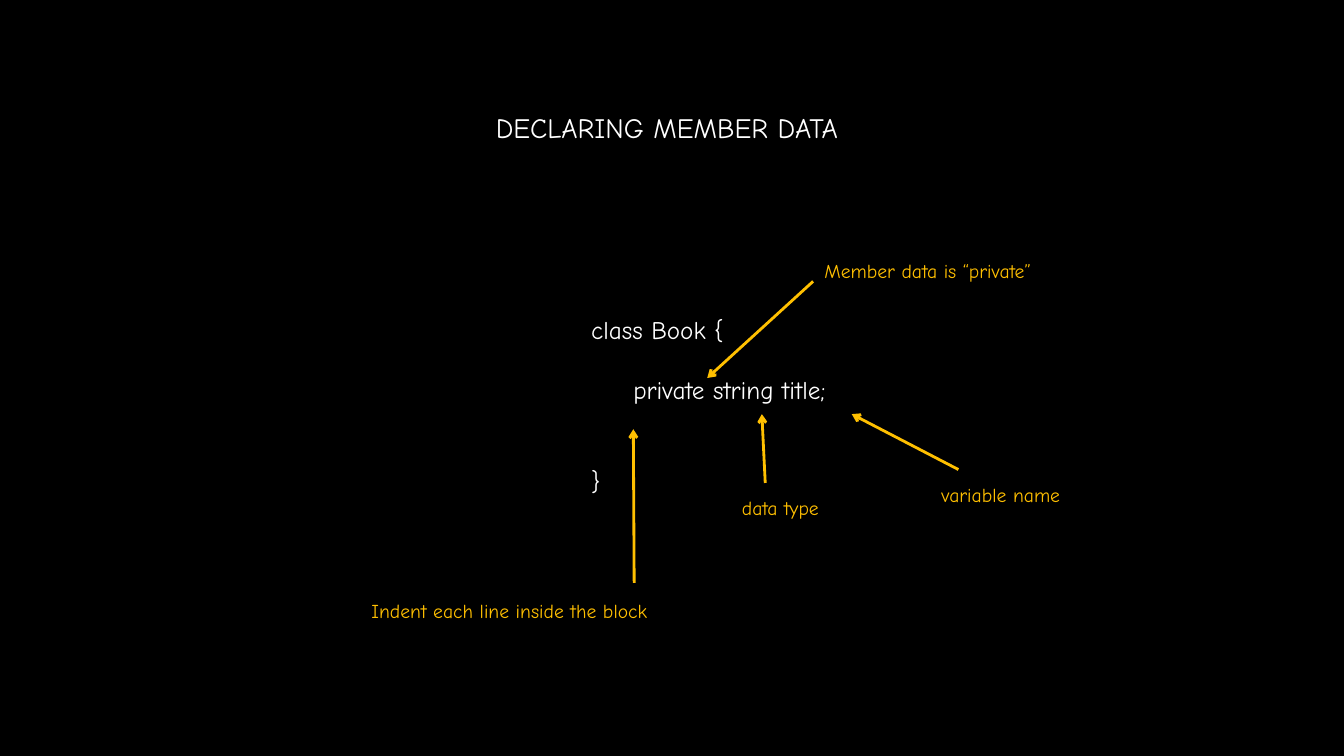
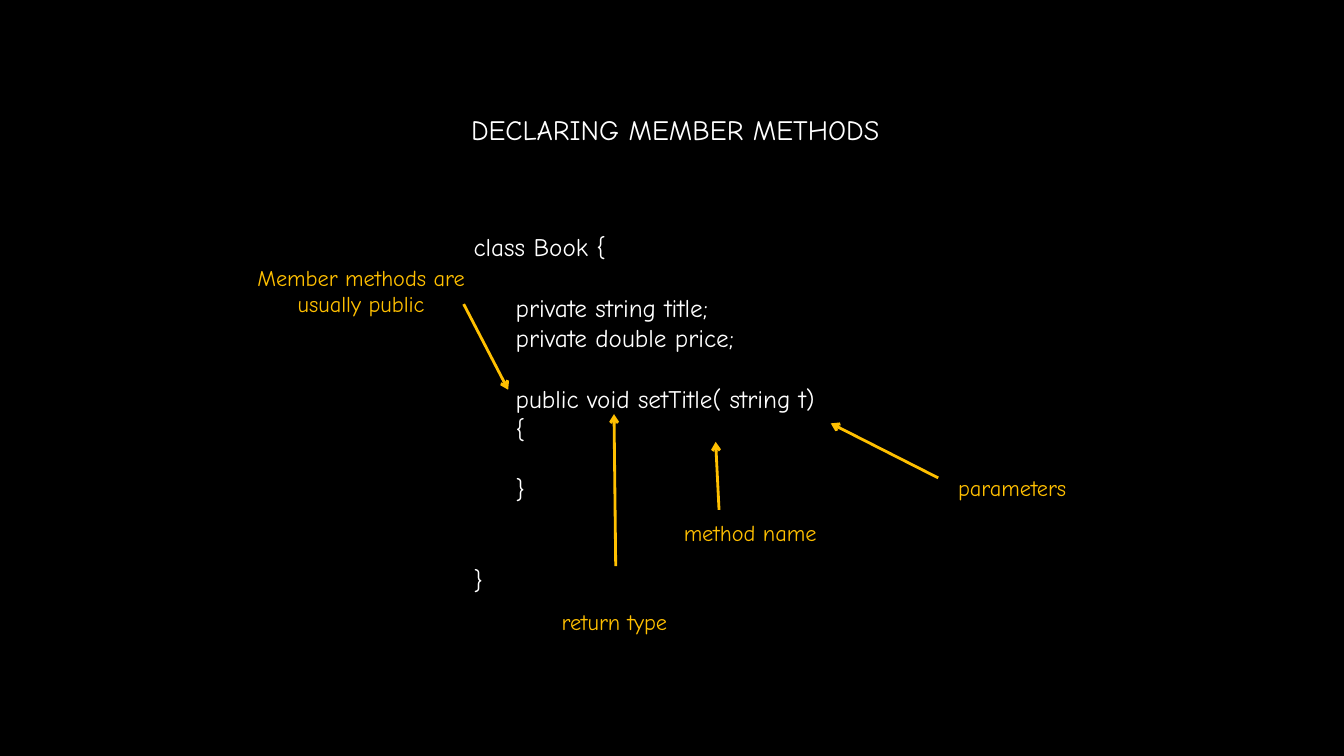
from dataclasses import dataclass

from lxml.etree import SubElement
from pptx import Presentation
from pptx.dml.color import RGBColor
from pptx.enum.shapes import MSO_CONNECTOR
from pptx.enum.text import MSO_AUTO_SIZE, PP_ALIGN
from pptx.oxml.ns import qn
from pptx.util import Inches, Pt


@dataclass(frozen=True)
class Theme:
    font: str = "Comic Neue"
    background: RGBColor = RGBColor(0x00, 0x00, 0x00)
    text: RGBColor = RGBColor(0xFF, 0xFF, 0xFF)
    accent: RGBColor = RGBColor(0xFF, 0xC0, 0x00)
    title_size: int = 20
    code_size: int = 18
    arrow_width: int = 2
    line_height: float = 1.2


theme = Theme()

presentation = Presentation()
presentation.slide_width = Inches(13.33)
presentation.slide_height = Inches(7.5)
column = presentation.slide_width / 16
row = presentation.slide_height / 9

background = presentation.slide_master.background.fill
background.solid()
background.fore_color.rgb = theme.background


def add_text(slide, text, *, left, top, width, size, color=theme.text, align=PP_ALIGN.CENTER):
    lines = text.split("\n")
    pitch = size * theme.line_height
    height = Pt(len(lines) * pitch) + Inches(0.1)
    box = slide.shapes.add_textbox(
        round(left * column), round(top * row), round(width * column), height
    )
    frame = box.text_frame
    frame.word_wrap = False
    frame.auto_size = MSO_AUTO_SIZE.SHAPE_TO_FIT_TEXT
    skipped = 0
    for index, line in enumerate(lines):
        if not line:
            skipped += 1
            continue
        paragraph = frame.paragraphs[0] if index == 0 else frame.add_paragraph()
        paragraph.alignment = align
        if skipped:
            paragraph.space_before = Pt(skipped * pitch)
            skipped = 0
        run = paragraph.add_run()
        run.text = line
        run.font.name = theme.font
        run.font.size = Pt(size)
        run.font.color.rgb = color


def add_arrow(slide, start, end):
    arrow = slide.shapes.add_connector(
        MSO_CONNECTOR.STRAIGHT,
        round(start[0] * column), round(start[1] * row),
        round(end[0] * column), round(end[1] * row),
    )
    arrow.line.color.rgb = theme.accent
    arrow.line.width = Pt(theme.arrow_width)
    properties = arrow._element.spPr
    SubElement(properties.find(qn("a:ln")), qn("a:tailEnd"), type="arrow")
    SubElement(properties, qn("a:effectLst"))


member_data_code = """class Book {

     private string title;


}"""

member_methods_code = """class Book {

     private string title;
     private double price;

     public void setTitle( string t)
     {

     }


}"""

lessons = [
    {
        "title": ("DECLARING MEMBER DATA", 5.53, 1.26, 4.82),
        "code": (member_data_code, 6.92, 3.68, 3.42),
        "label_size": 14,
        "labels": [
            ("Member data is “private”", 9.55, 3.02, 2.99, (9.68, 3.35), (8.42, 4.5)),
            ("Indent each line inside the block", 4.15, 7.07, 3.83, (7.55, 6.94), (7.54, 5.11)),
            ("data type", 8.65, 5.84, 1.28, (9.11, 5.75), (9.07, 4.93)),
            ("variable name", 11.05, 5.69, 1.73, (11.41, 5.59), (10.14, 4.93)),
        ],
    },
    {
        "title": ("DECLARING MEMBER METHODS", 5.24, 1.28, 5.6),
        "code": (member_methods_code, 5.52, 2.7, 4.79),
        "label_size": 16,
        "labels": [
            ("Member methods are\nusually public", 2.8, 3.08, 3, (5.52, 3.62), (6.05, 4.64)),
            ("return type", 6.47, 7.18, 1.69, (7.33, 6.74), (7.31, 4.93)),
            ("method name", 7.98, 6.12, 1.9, (8.56, 6.07), (8.52, 5.26)),
            ("parameters", 11.21, 5.59, 1.68, (11.17, 5.69), (9.89, 5.04)),
        ],
    },
]

for lesson in lessons:
    slide = presentation.slides.add_slide(presentation.slide_layouts[6])
    title, left, top, width = lesson["title"]
    add_text(slide, title, left=left, top=top, width=width, size=theme.title_size)
    code, left, top, width = lesson["code"]
    add_text(slide, code, left=left, top=top, width=width,
             size=theme.code_size, align=PP_ALIGN.LEFT)
    for label, left, top, width, start, end in lesson["labels"]:
        add_text(slide, label, left=left, top=top, width=width,
                 size=lesson["label_size"], color=theme.accent)
        add_arrow(slide, start, end)

presentation.save("out.pptx")
